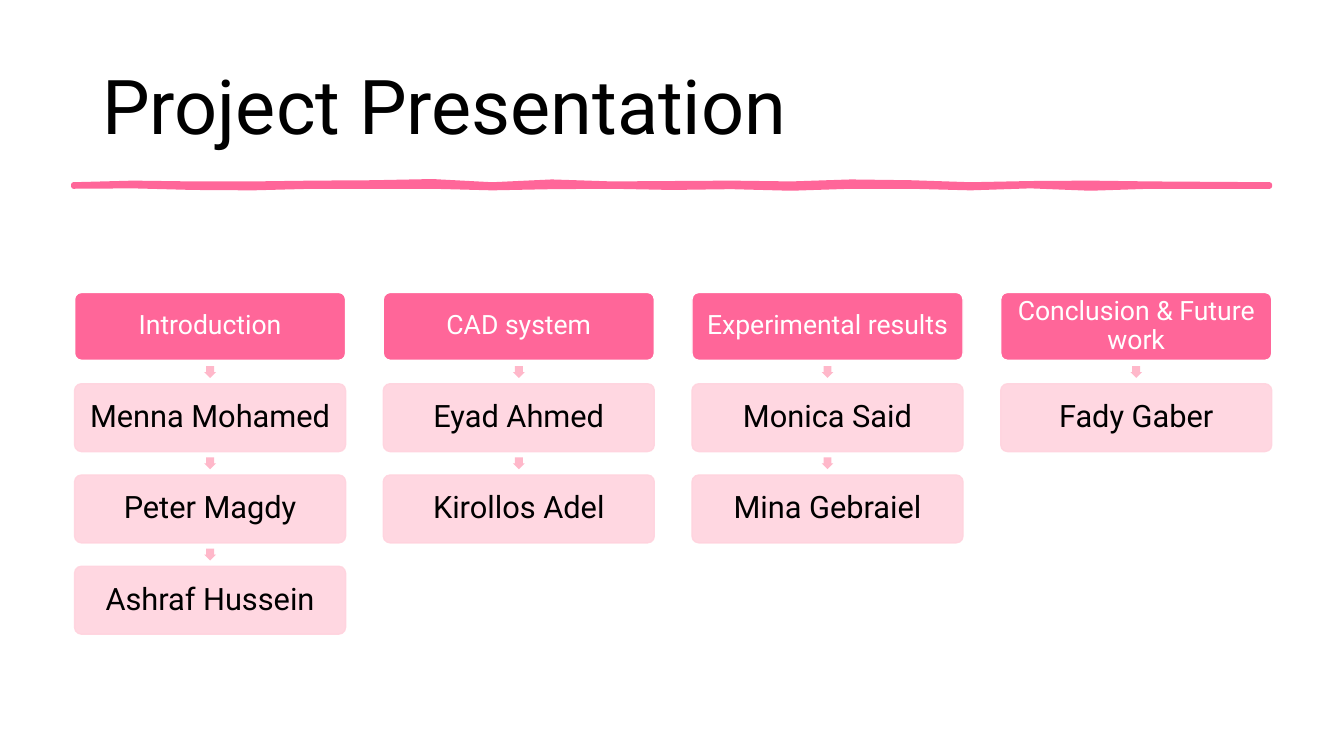
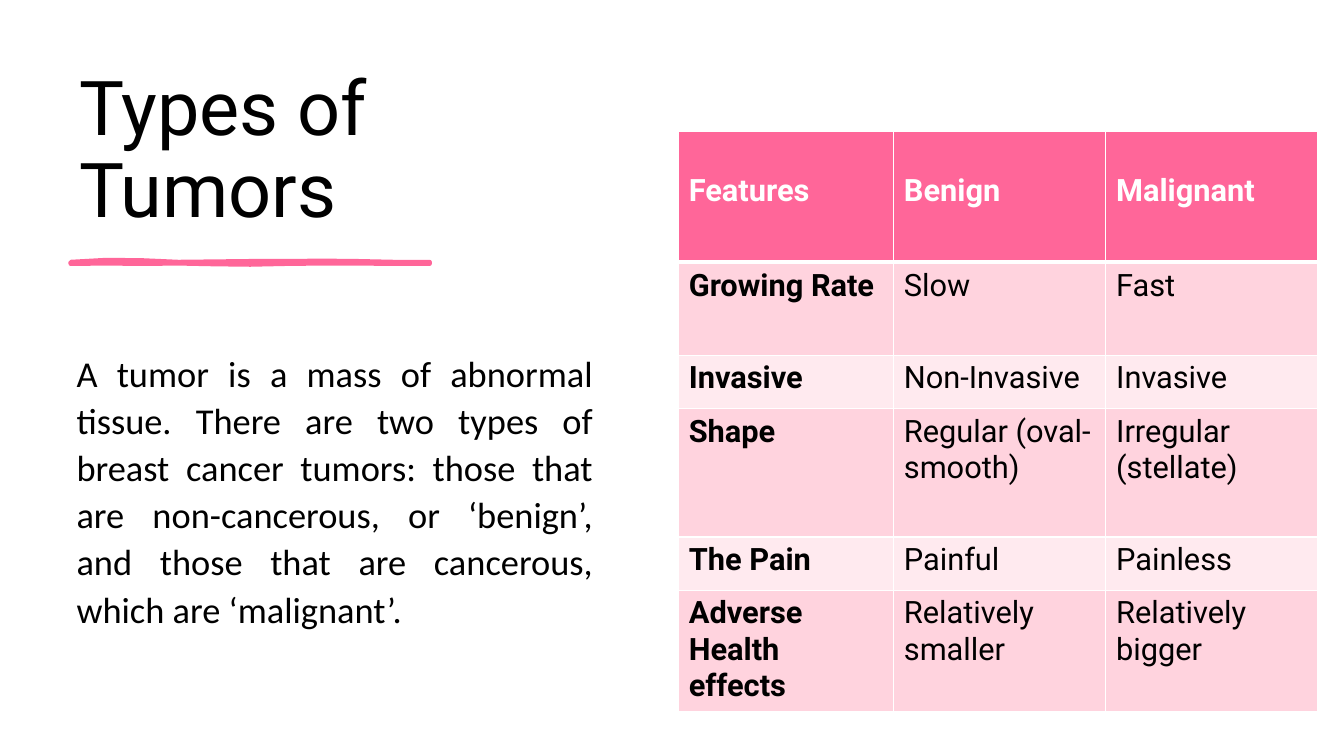
from lxml import etree
from pptx import Presentation
from pptx.dml.color import RGBColor
from pptx.enum.shapes import MSO_SHAPE
from pptx.enum.text import MSO_ANCHOR, PP_ALIGN
from pptx.oxml.ns import qn
from pptx.util import Cm, Pt

ROUNDED = MSO_SHAPE.ROUNDED_RECTANGLE
DOWN_ARROW = MSO_SHAPE.DOWN_ARROW
LEFT, CENTER, JUSTIFY = PP_ALIGN.LEFT, PP_ALIGN.CENTER, PP_ALIGN.JUSTIFY
TOP, MIDDLE = MSO_ANCHOR.TOP, MSO_ANCHOR.MIDDLE

PINK, PALE, LIGHT, ARROW = "FF6699", "FFD3DE", "FFEAEF", "FFB8CA"
WHITE, BLACK = "FFFFFF", "000000"
HEADING_FONT, BODY_FONT = "Roboto", "Calibri"

COLUMNS = [
    ("Introduction", "Menna Mohamed", "Peter Magdy", "Ashraf Hussein"),
    ("CAD system", "Eyad Ahmed", "Kirollos Adel"),
    ("Experimental results", "Monica Said", "Mina Gebraiel"),
    ("Conclusion & Future work", "Fady Gaber"),
]
FEATURES = [
    ("Features", "Benign", "Malignant"),
    ("Growing Rate", "Slow", "Fast"),
    ("Invasive", "Non-Invasive", "Invasive"),
    ("Shape", "Regular (oval-smooth)", "Irregular (stellate)"),
    ("The Pain", "Painful", "Painless"),
    ("Adverse Health effects", "Relatively smaller", "Relatively bigger"),
]
LONG_STROKE = (
    [0, -.04, -.02, -.02, -.04, -.05, -.08, 0, -.07, -.02, -.03,
     -.04, -.02, -.07, -.05, 0, -.03, -.04, -.02, -.01, 0],
    [.05, .04, .08, .09, .05, .05, .05, .09, .06, .05, .08,
     .06, .1, .05, .05, .09, .04, .1, .05, .05, .05],
)
SHORT_STROKE = (
    [0, -.05, -.04, 0, -.01, -.02, -.02, -.03, -.02, 0, 0],
    [.05, .04, .05, .04, .06, .07, .05, .04, .04, .05, .05],
)
TUMOR_TEXT = (
    "A tumor is a mass of abnormal tissue. There are two types of breast "
    "cancer tumors: those that are non-cancerous, or ‘benign’, and those "
    "that are cancerous, which are ‘malignant’."
)


def color(value):
    return RGBColor.from_string(value)


def write(frame, text, size=22, ink=BLACK, font=HEADING_FONT, bold=False,
          align=LEFT, spacing=1.0):
    paragraph = frame.paragraphs[0]
    paragraph.text = text
    paragraph.alignment = align
    paragraph.line_spacing = spacing
    paragraph.font.name = font
    paragraph.font.size = Pt(size)
    paragraph.font.bold = bold
    paragraph.font.color.rgb = color(ink)


def add_border(cell, side, width):
    line = etree.SubElement(cell._tc.get_or_add_tcPr(), qn(f"a:ln{side}"),
                            w=str(Pt(width)))
    fill = etree.SubElement(line, qn("a:solidFill"))
    etree.SubElement(fill, qn("a:srgbClr"), val=WHITE)


class Deck:
    """Holds the shared style and the slide being built."""

    def __init__(self):
        self.presentation = Presentation()
        self.presentation.slide_width = Cm(33.87)
        self.presentation.slide_height = Cm(19.05)
        self.slide = None

    def new_slide(self):
        layout = self.presentation.slide_layouts[6]
        self.slide = self.presentation.slides.add_slide(layout)

    def text(self, content, left, top, width, height, inset=(.25, .13), **style):
        box = self.slide.shapes.add_textbox(Cm(left), Cm(top), Cm(width), Cm(height))
        frame = box.text_frame
        frame.word_wrap = True
        frame.vertical_anchor = MIDDLE
        frame.margin_left = frame.margin_right = Cm(inset[0])
        frame.margin_top = frame.margin_bottom = Cm(inset[1])
        write(frame, content, **style)

    def title(self, content, left, top, width, height):
        self.text(content, left, top, width, height, size=54, spacing=.9)

    def brush_line(self, left, top, width, stroke, thickness):
        upper, lower = stroke
        step = width / (len(upper) - 1)
        edges = [[(Cm(left + index * step), Cm(top + offset))
                  for index, offset in enumerate(edge)] for edge in (upper, lower)]
        outline = edges[0] + edges[1][::-1]
        builder = self.slide.shapes.build_freeform(*outline[0])
        builder.add_line_segments(outline[1:], close=True)
        self.paint(builder.convert_to_shape(), PINK, PINK, thickness)

    def paint(self, shape, fill, line=None, thickness=1, opacity=100):
        shape.shadow.inherit = False
        shape.fill.solid()
        shape.fill.fore_color.rgb = color(fill)
        if line:
            shape.line.color.rgb = color(line)
            shape.line.width = Pt(thickness)
        else:
            shape.line.fill.background()
        if opacity < 100:
            for tint in shape._element.spPr.iter(qn("a:srgbClr")):
                etree.SubElement(tint, qn("a:alpha"), val=str(opacity * 1000))

    def box(self, content, left, top, width, height, fill, line, opacity, **style):
        shape = self.slide.shapes.add_shape(
            ROUNDED, Cm(left), Cm(top), Cm(width), Cm(height))
        shape.adjustments[0] = .1
        self.paint(shape, fill, line, opacity=opacity)
        frame = shape.text_frame
        frame.word_wrap = True
        frame.vertical_anchor = MIDDLE
        frame.margin_left = frame.margin_right = Cm(.13)
        frame.margin_top = frame.margin_bottom = Cm(.13)
        write(frame, content, align=CENTER, spacing=.9, **style)

    def arrow(self, left, top, size):
        shape = self.slide.shapes.add_shape(
            DOWN_ARROW, Cm(left), Cm(top), Cm(size), Cm(size))
        shape.adjustments[0] = .67
        shape.adjustments[1] = .5
        self.paint(shape, ARROW)

    def table(self, rows, left, top, widths, heights):
        table = self.slide.shapes.add_table(
            len(rows), len(widths), Cm(left), Cm(top),
            Cm(sum(widths)), Cm(sum(heights))).table
        table.horz_banding = False
        for column, width in zip(table.columns, widths):
            column.width = Cm(width)
        for row, height in zip(table.rows, heights):
            row.height = Cm(height)
        for row_index, row in enumerate(rows):
            header = row_index == 0
            fill = PINK if header else PALE if row_index % 2 else LIGHT
            for column_index, content in enumerate(row):
                cell = table.cell(row_index, column_index)
                cell.margin_left = cell.margin_right = Cm(.27)
                cell.margin_top = Cm(1.04 if header else .13)
                cell.margin_bottom = Cm(.13)
                cell.vertical_anchor = TOP
                add_border(cell, "L", 1)
                add_border(cell, "R", 1)
                add_border(cell, "T", 3 if row_index == 1 else 1)
                add_border(cell, "B", 3 if header else 1)
                cell.fill.solid()
                cell.fill.fore_color.rgb = color(fill)
                write(cell.text_frame, content, ink=WHITE if header else BLACK,
                      bold=header or column_index == 0)


def build_team_slide(deck):
    left, top, width, height = 1.88, 7.37, 6.83, 1.71
    column_pitch, row_pitch, arrow_size = 7.78, 2.3, .3
    gap = row_pitch - height
    deck.new_slide()
    deck.title("Project Presentation", 2.33, 1.01, 29.21, 3.54)
    deck.brush_line(1.85, 4.65, 30.15, LONG_STROKE, 3.25)
    for column_index, names in enumerate(COLUMNS):
        x = left + column_index * column_pitch
        for row_index, name in enumerate(names):
            y = top + row_index * row_pitch
            if row_index == 0:
                deck.box(name, x, y, width, height, PINK, WHITE, 100,
                         size=19, ink=WHITE)
            else:
                deck.arrow(x + (width - arrow_size) / 2,
                           y - (gap + arrow_size) / 2, arrow_size)
                deck.box(name, x, y, width, height, PALE, PALE, 90)


def build_tumor_slide(deck):
    deck.new_slide()
    deck.title("Types of Tumors", 1.75, 1.78, 9.07, 4.11)
    deck.brush_line(1.78, 6.6, 9.05, SHORT_STROKE, 3)
    deck.text(TUMOR_TEXT, 1.75, 7.39, 13.39, 9.86, inset=(.18, .1),
              size=26, font=BODY_FONT, align=JUSTIFY, spacing=1.08)
    deck.table(FEATURES, 17.09, 3.31, [5.42, 5.35, 5.35],
               [3.3, 2.34, 1.35, 3.23, 1.34, 3.02])


def main():
    deck = Deck()
    build_team_slide(deck)
    build_tumor_slide(deck)
    deck.presentation.save("out.pptx")


if __name__ == "__main__":
    main()
